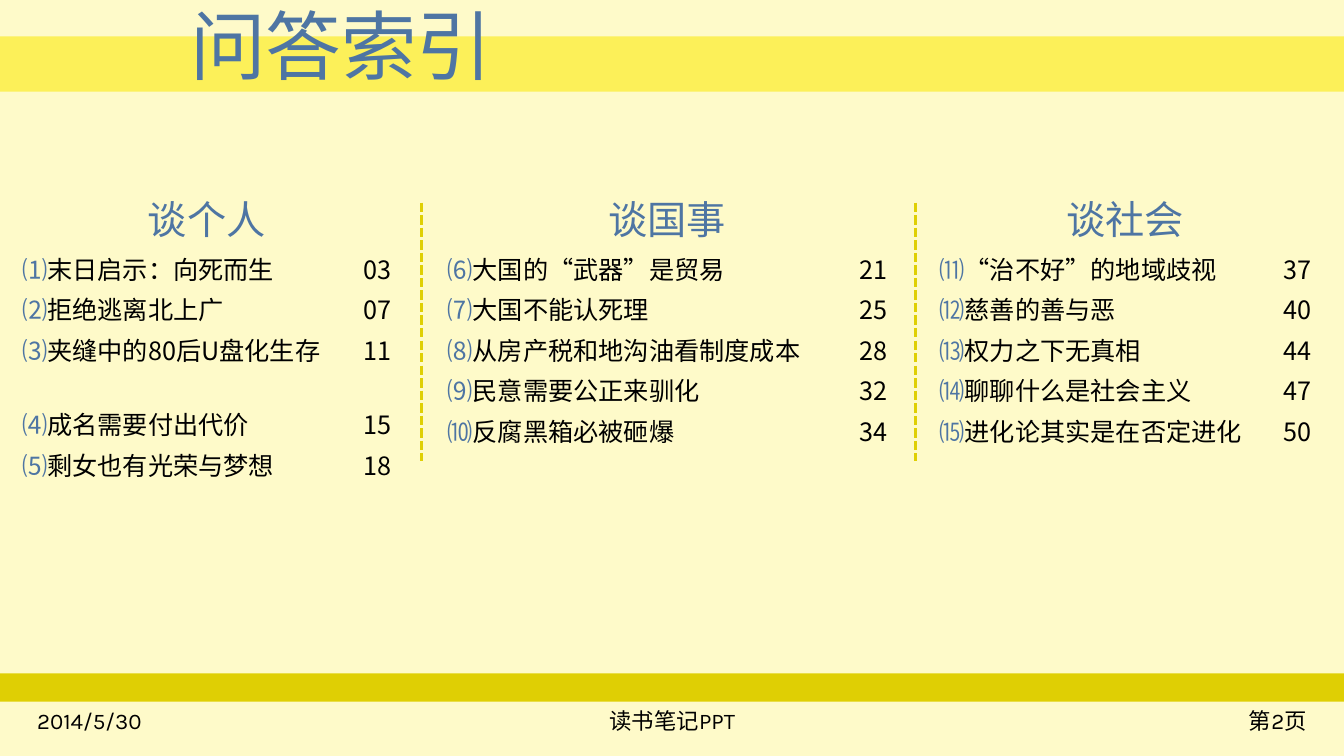
from lxml import etree
from pptx import Presentation
from pptx.dml.color import RGBColor
from pptx.enum import dml, shapes, text
from pptx.oxml import ns
from pptx.util import Pt

CREAM = RGBColor(0xFE, 0xFA, 0xC9)
LEMON = RGBColor(0xFC, 0xF0, 0x59)
MUSTARD = RGBColor(0xDF, 0xCF, 0x04)
BLUE = RGBColor(0x4E, 0x75, 0xA3)
BLACK = RGBColor(0, 0, 0)
CHINESE = "Noto Sans CJK SC"
LATIN = "Karla"
PLAIN_STYLE = "{2D5ABB26-0587-4C30-8999-92F81FD0307C}"
ALIGN = text.PP_ALIGN

TOPICS = [
    ("谈个人", 8.64, (233.28, 44.64), [
        ("⑴", "末日启示：向死而生", "03"),
        ("⑵", "拒绝逃离北上广", "07"),
        ("⑶", "夹缝中的80后U盘化生存", "11"),
        ("⑷", "成名需要付出代价", "15"),
        ("⑸", "剩女也有光荣与梦想", "18"),
    ]),
    ("谈国事", 312.48, (288.72, 39.6), [
        ("⑹", "大国的“武器”是贸易", "21"),
        ("⑺", "大国不能认死理", "25"),
        ("⑻", "从房产税和地沟油看制度成本", "28"),
        ("⑼", "民意需要公正来驯化", "32"),
        ("⑽", "反腐黑箱必被砸爆", "34"),
    ]),
    ("谈社会", 663.84, (238.32, 41.76), [
        ("⑾", "“治不好”的地域歧视", "37"),
        ("⑿", "慈善的善与恶", "40"),
        ("⒀", "权力之下无真相", "44"),
        ("⒁", "聊聊什么是社会主义", "47"),
        ("⒂", "进化论其实是在否定进化", "50"),
    ]),
]
FOOTERS = [
    ("2014/5/30", 19.44, 223.92, ALIGN.LEFT),
    ("读书笔记PPT", 328.32, 303.84, ALIGN.CENTER),
    ("第2页", 716.4, 223.92, ALIGN.RIGHT),
]


def format_span(span, size, color, latin=CHINESE):
    span.font.name = latin
    span.font.size = Pt(size)
    span.font.color.rgb = color
    east = etree.SubElement(span.font._element, ns.qn("a:ea"))
    east.set("typeface", CHINESE)


def fill_para(para, spans, size, align, latin=CHINESE):
    para.alignment = align
    for words, color in spans:
        span = para.add_run()
        span.text = words
        format_span(span, size, color, latin)


def add_band(page, left, top, width, height, color):
    band = page.shapes.add_shape(
        shapes.MSO_SHAPE.RECTANGLE, Pt(left), Pt(top), Pt(width), Pt(height))
    band.shadow.inherit = False
    band.fill.solid()
    band.fill.fore_color.rgb = color
    band.line.fill.background()


def place_title(page, words):
    title = page.shapes.title
    title.left, title.top, title.width, title.height = (
        Pt(116.64), Pt(-5.04), Pt(254.16), Pt(72.72))
    frame = title.text_frame
    frame.auto_size = text.MSO_AUTO_SIZE.NONE
    frame.vertical_anchor = text.MSO_ANCHOR.MIDDLE
    frame.margin_top = frame.margin_bottom = 0
    fill_para(frame.paragraphs[0], [(words, BLUE)], 54, ALIGN.CENTER)
    page.shapes._spTree.append(title._element)


def add_footer(page, words, left, width, align):
    box = page.shapes.add_textbox(Pt(left), Pt(500.4), Pt(width), Pt(28.8))
    frame = box.text_frame
    frame.word_wrap = True
    frame.vertical_anchor = text.MSO_ANCHOR.MIDDLE
    fill_para(frame.paragraphs[0], [(words, BLACK)], 16, align, LATIN)


def fill_cell(cell, spans, size, align, top, spacing=None):
    cell.fill.background()
    cell.margin_top = Pt(top)
    cell.margin_bottom = 0
    para = cell.text_frame.paragraphs[0]
    if spacing:
        para.line_spacing = Pt(spacing)
    fill_para(para, spans, size, align)


def add_topic(page, heading, left, widths, entries):
    frame = page.shapes.add_table(
        len(entries) + 1, 2, Pt(left), Pt(132.48), Pt(sum(widths)), Pt(188))
    table = frame.table
    table.first_row = table.horz_banding = False
    table._tbl.tblPr.find(ns.qn("a:tableStyleId")).text = PLAIN_STYLE
    for column, width in zip(table.columns, widths):
        column.width = Pt(width)
    table.rows[0].height = Pt(43)
    table.cell(0, 0).merge(table.cell(0, 1))
    fill_cell(table.cell(0, 0), [(heading, BLUE)], 28, ALIGN.CENTER, 2.4)
    for row, (number, question, leaf) in enumerate(entries, 1):
        table.rows[row].height = Pt(29)
        fill_cell(table.cell(row, 0), [(number, BLUE), (question, BLACK)],
                  18, ALIGN.LEFT, 5, 24)
        fill_cell(table.cell(row, 1), [(leaf, BLACK)], 18, ALIGN.RIGHT, 5, 24)


def add_divider(page, x):
    divider = page.shapes.add_connector(
        shapes.MSO_CONNECTOR.STRAIGHT, Pt(x), Pt(144.72), Pt(x), Pt(329.04))
    divider.line.color.rgb = MUSTARD
    divider.line.width = Pt(2.25)
    divider.line.dash_style = dml.MSO_LINE.SQUARE_DOT
    etree.SubElement(divider._element.spPr, ns.qn("a:effectLst"))


def main():
    deck = Presentation()
    deck.slide_width, deck.slide_height = Pt(960), Pt(540)
    page = deck.slides.add_slide(deck.slide_layouts[5])
    page.background.fill.solid()
    page.background.fill.fore_color.rgb = CREAM
    add_band(page, -18.72, 25.92, 997.92, 39.6, LEMON)
    place_title(page, "问答索引")
    add_band(page, -18.72, 480.96, 1013.04, 20.16, MUSTARD)
    for footer in FOOTERS:
        add_footer(page, *footer)
    for topic in TOPICS:
        add_topic(page, *topic)
    for x in (300.96, 653.76):
        add_divider(page, x)
    deck.save("out.pptx")


if __name__ == "__main__":
    main()
